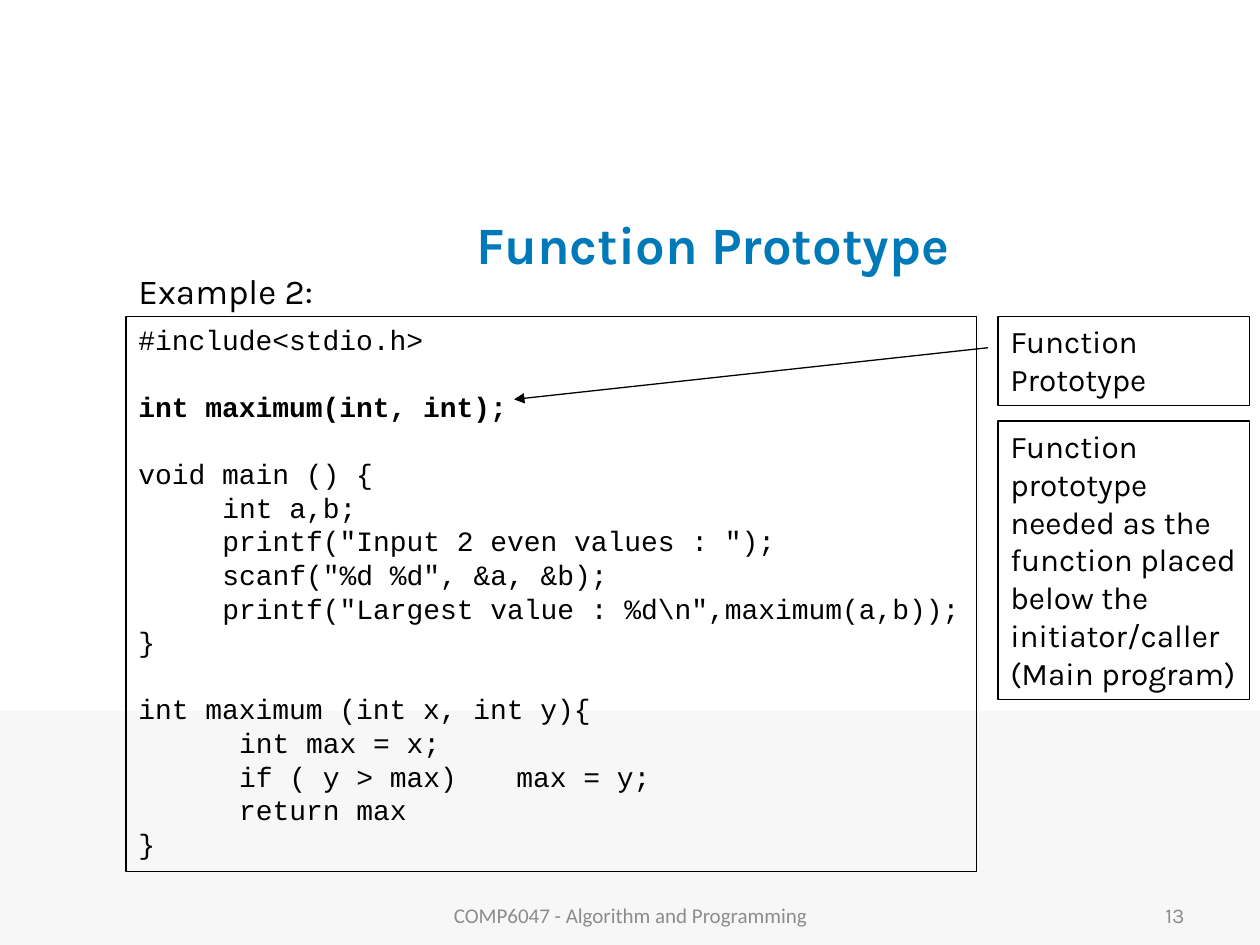
from lxml import etree
from pptx import Presentation
from pptx.dml.color import RGBColor
from pptx.enum.shapes import MSO_CONNECTOR, MSO_SHAPE
from pptx.enum.text import MSO_ANCHOR, PP_ALIGN
from pptx.oxml.ns import qn
from pptx.util import Inches, Pt

BLACK = RGBColor(0x00, 0x00, 0x00)
BLUE = RGBColor(0x00, 0x79, 0xB8)
GRAY = RGBColor(0x8C, 0x8C, 0x8C)
PALE = RGBColor(0xF7, 0xF7, 0xF7)

CODE_SIZE = 16
LINE_HEIGHT = Pt(19.2)
CHAR_WIDTH = Pt(0.6 * CODE_SIZE)

# text, indent in characters, blank line above, bold
CODE = [
    ("#include<stdio.h>", 0, False, False),
    ("int maximum(int, int);", 0, True, True),
    ("void main () {", 0, True, False),
    ("int a,b;", 5, False, False),
    ('printf("Input 2 even values : ");', 5, False, False),
    ('scanf("%d %d", &a, &b);', 5, False, False),
    ('printf("Largest value : %d\\n",maximum(a,b));', 5, False, False),
    ("}", 0, False, False),
    ("int maximum (int x, int y){", 0, True, False),
    ("int max = x;", 6, False, False),
    ("if ( y > max)\tmax = y;", 6, False, False),
    ("return max", 6, False, False),
    ("}", 0, False, False),
]


def add_run(p, text, size, font="Karla", color=BLACK, bold=False):
    r = p.add_run()
    r.text = text
    r.font.size = Pt(size)
    r.font.name = font
    r.font.color.rgb = color
    r.font.bold = bold


def add_box(left, top, width, height, border=False):
    """Add a wrapping text box, with a thin black border if asked."""
    s = shapes.add_textbox(Inches(left), Inches(top), Inches(width), Inches(height))
    s.text_frame.word_wrap = True
    if border:
        s.line.color.rgb = BLACK
        s.line.width = Pt(0.75)
    return s.text_frame


prs = Presentation()
prs.slide_width, prs.slide_height = Inches(10), Inches(7.5)
slide = prs.slides.add_slide(prs.slide_layouts[5])
shapes = slide.shapes

# Band at the bottom
band = shapes.add_shape(MSO_SHAPE.RECTANGLE, 0, Inches(5.64), Inches(10), Inches(1.86))
band.shadow.inherit = False
band.fill.solid()
band.fill.fore_color.rgb = PALE
band.line.fill.background()

# Title
title = shapes.title
title.left, title.top = Inches(1.92), Inches(1.5)
title.width, title.height = Inches(7.48), Inches(0.87)
title.text_frame.vertical_anchor = MSO_ANCHOR.MIDDLE
p = title.text_frame.paragraphs[0]
p.alignment = PP_ALIGN.CENTER
add_run(p, "Function Prototype", 30, color=BLUE, bold=True)

# Heading of the example
p = add_box(1, 2.13, 9, 0.4).paragraphs[0]
p.line_spacing = 0.9
add_run(p, "Example 2:", 20)

# Code listing, indented with tab stops
tf = add_box(1, 2.51, 6.75, 4.41, border=True)
for i, (text, indent, gap, bold) in enumerate(CODE):
    p = tf.add_paragraph() if i else tf.paragraphs[0]
    if gap:
        p.space_before = LINE_HEIGHT
    if indent:
        tabs = etree.SubElement(p._p.get_or_add_pPr(), qn("a:tabLst"))
        for pos in (indent * CHAR_WIDTH, Inches(3)):
            etree.SubElement(tabs, qn("a:tab"), pos=str(pos), algn="l")
        text = "\t" + text
    add_run(p, text, CODE_SIZE, "Courier New", bold=bold)

# Notes beside the code
for top, height, text in [
    (2.51, 0.71, "Function Prototype"),
    (3.34, 2.21, "Function prototype needed as the function placed "
                 "below the initiator/caller (Main program)"),
]:
    add_run(add_box(7.92, top, 2, height, border=True).paragraphs[0], text, 18)

# Arrow from the first note to the prototype
arrow = shapes.add_connector(
    MSO_CONNECTOR.STRAIGHT, Inches(7.84), Inches(2.76), Inches(4.08), Inches(3.17))
arrow.line.color.rgb = BLACK
arrow.line.width = Pt(0.75)
etree.SubElement(arrow.line._get_or_add_ln(), qn("a:tailEnd"), type="triangle")
etree.SubElement(arrow._element.spPr, qn("a:effectLst"))

# Footer and page number
for left, width, text, font, align in [
    (3.42, 3.17, "COMP6047 - Algorithm and Programming", "Calibri", PP_ALIGN.CENTER),
    (7.17, 2.33, "13", "Karla", PP_ALIGN.RIGHT),
]:
    tf = add_box(left, 7.06, width, 0.4)
    tf.vertical_anchor = MSO_ANCHOR.MIDDLE
    tf.paragraphs[0].alignment = align
    add_run(tf.paragraphs[0], text, 12, font, GRAY)

prs.save("out.pptx")
